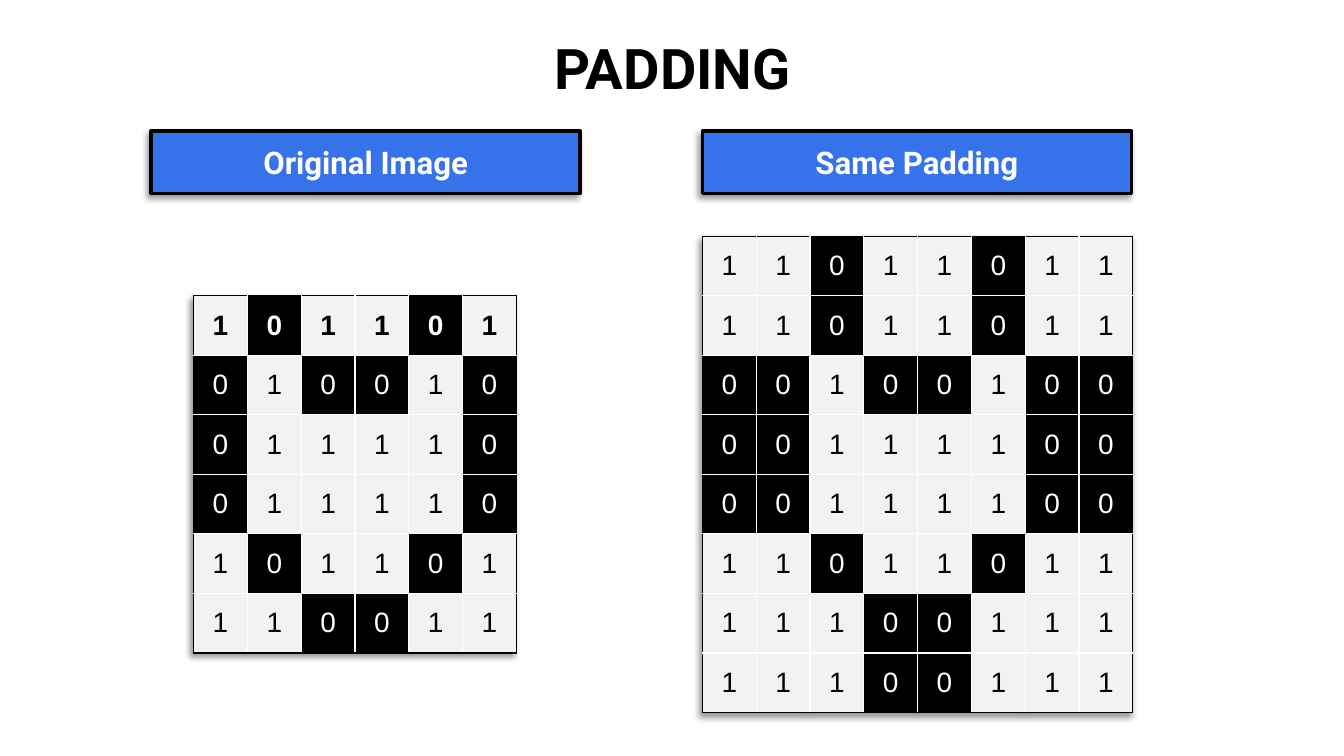
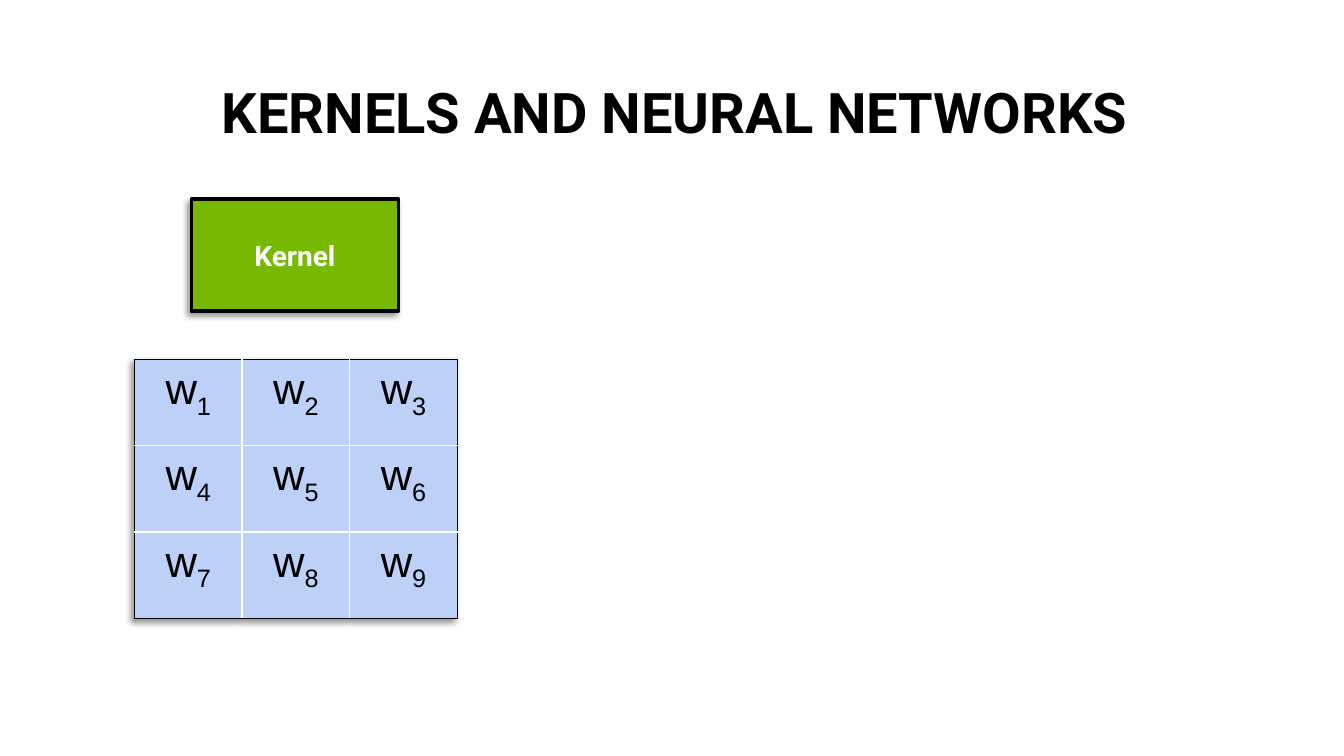
"""Build two slides on image padding and convolution kernels."""
import dataclasses

import lxml.etree
import pptx
import pptx.dml.color
import pptx.enum.shapes
import pptx.enum.text
import pptx.oxml.ns
import pptx.util

Cm = pptx.util.Cm
Pt = pptx.util.Pt
RGB = pptx.dml.color.RGBColor.from_string
qn = pptx.oxml.ns.qn
CENTER = pptx.enum.text.PP_ALIGN.CENTER
MIDDLE = pptx.enum.text.MSO_ANCHOR.MIDDLE


@dataclasses.dataclass(frozen=True)
class Theme:
    """Colours, fonts and type sizes of the deck."""

    black: str = "000000"
    white: str = "FFFFFF"
    blue: str = "3673EB"
    pale_blue: str = "BCD0F8"
    green: str = "76B900"
    light: str = "F2F2F2"
    heading_font: str = "Roboto"
    grid_font: str = "Arial"
    title_size: int = 36
    label_size: int = 20
    kernel_label_size: int = 18
    pixel_size: int = 18
    weight_size: int = 28
    label_line: float = 2.25
    grid_line: float = 1


THEME = Theme()
PIXELS = ["101101", "010010", "011110", "011110", "101101", "110011"]


def pad(rows):
    """Surround a pixel grid with copies of its edge pixels."""
    widened = [row[0] + row + row[-1] for row in rows]
    return [widened[0], *widened, widened[-1]]


def style_paragraph(paragraph, size, color, font, bold=False):
    """Centre a paragraph and set its font."""
    paragraph.alignment = CENTER
    paragraph.font.size = Pt(size)
    paragraph.font.name = font
    paragraph.font.bold = bold
    paragraph.font.color.rgb = RGB(color)


def solid_fill(parent, color):
    """Append a solid fill element and return its colour element."""
    fill = lxml.etree.SubElement(parent, qn("a:solidFill"))
    return lxml.etree.SubElement(fill, qn("a:srgbClr"), val=color)


def shadow_effect():
    """Return an effect list with the soft shadow towards the lower left."""
    effects = pptx.oxml.parse_xml(f"<a:effectLst {pptx.oxml.ns.nsdecls('a')}/>")
    shadow = lxml.etree.SubElement(
        effects, qn("a:outerShdw"), blurRad=str(Pt(4)), dist=str(Pt(3)),
        dir=str(135 * 60000), algn="tr", rotWithShape="0")
    color = lxml.etree.SubElement(shadow, qn("a:srgbClr"), val=THEME.black)
    lxml.etree.SubElement(color, qn("a:alpha"), val="40000")
    return effects


def add_titled_slide(deck, text, left, top):
    """Add a slide with its title placed at the given corner."""
    slide = deck.slides.add_slide(deck.slide_layouts[5])
    title = slide.shapes.title
    title.left, title.top = Cm(left), Cm(top)
    title.width, title.height = Cm(27.71), Cm(1.65)
    frame = title.text_frame
    frame.text = text
    frame.auto_size = pptx.enum.text.MSO_AUTO_SIZE.NONE
    frame.vertical_anchor = pptx.enum.text.MSO_ANCHOR.BOTTOM
    heading = frame.paragraphs[0]
    heading.line_spacing = 0.9
    style_paragraph(heading, THEME.title_size, THEME.black, THEME.heading_font, True)
    return slide


def add_label(slide, text, box, color, size):
    """Add a framed, shadowed label in the given box."""
    label = slide.shapes.add_shape(
        pptx.enum.shapes.MSO_SHAPE.RECTANGLE, *map(Cm, box))
    label.fill.solid()
    label.fill.fore_color.rgb = RGB(color)
    label.line.color.rgb = RGB(THEME.black)
    label.line.width = Pt(THEME.label_line)
    label.shadow.inherit = False
    plain = label._element.spPr.find(qn("a:effectLst"))
    plain.getparent().replace(plain, shadow_effect())
    label.text_frame.text = text
    label.text_frame.vertical_anchor = MIDDLE
    style_paragraph(label.text_frame.paragraphs[0], size, THEME.white,
                    THEME.heading_font, True)


def set_borders(cell, outer_sides):
    """Draw black lines on the outer sides of a cell and white lines elsewhere."""
    properties = cell._tc.get_or_add_tcPr()
    for index, side in enumerate("LRTB"):
        border = lxml.etree.Element(qn(f"a:ln{side}"), w=str(Pt(THEME.grid_line)))
        solid_fill(border, THEME.black if side in outer_sides else THEME.white)
        properties.insert(index, border)


def add_grid(slide, rows, left, top, cell_width, cell_height, fill_cell):
    """Add a shadowed table whose cells are filled by the given function."""
    row_count, column_count = len(rows), len(rows[0])
    grid = slide.shapes.add_table(
        row_count, column_count, Cm(left), Cm(top),
        Cm(cell_width * column_count), Cm(cell_height * row_count)).table
    grid.first_row = grid.horz_banding = False
    grid._tbl.tblPr.insert(0, shadow_effect())
    for column in grid.columns:
        column.width = Cm(cell_width)
    for r, values in enumerate(rows):
        grid.rows[r].height = Cm(cell_height)
        for c, value in enumerate(values):
            cell = grid.cell(r, c)
            fill_cell(cell, value)
            edges = {"L": c == 0, "R": c == column_count - 1,
                     "T": r == 0, "B": r == row_count - 1}
            set_borders(cell, [side for side, outer in edges.items() if outer])
    return grid


def fill_pixel(cell, value):
    """Show a pixel as a light 1 or a black 0."""
    lit = value == "1"
    cell.fill.solid()
    cell.fill.fore_color.rgb = RGB(THEME.light if lit else THEME.black)
    cell.vertical_anchor = MIDDLE
    cell.text = value
    style_paragraph(cell.text_frame.paragraphs[0], THEME.pixel_size,
                    THEME.black if lit else THEME.white, THEME.grid_font)


def fill_weight(cell, index):
    """Show a kernel weight with its subscript index."""
    cell.fill.solid()
    cell.fill.fore_color.rgb = RGB(THEME.pale_blue)
    paragraph = cell.text_frame.paragraphs[0]
    style_paragraph(paragraph, THEME.weight_size, THEME.black, THEME.grid_font)
    paragraph.add_run().text = "w"
    subscript = paragraph.add_run()
    subscript.text = str(index)
    subscript._r.get_or_add_rPr().set("baseline", "-25000")


def build_padding(deck):
    """Compare an image with its padded version."""
    slide = add_titled_slide(deck, "PADDING", 1.4, 0.79)
    for text, left in (("Original Image", 3.43), ("Same Padding", 15.93)):
        add_label(slide, text, (left, 2.97, 9.73, 1.42), THEME.blue, THEME.label_size)
    add_grid(slide, pad(PIXELS), 15.93, 5.36, 1.22, 1.35, fill_pixel)
    image = add_grid(slide, PIXELS, 4.39, 6.71, 1.22, 1.35, fill_pixel)
    for cell in image.rows[0].cells:
        cell.text_frame.paragraphs[0].font.bold = True


def build_kernels(deck):
    """Show the kernel as a grid of weights."""
    slide = add_titled_slide(deck, "KERNELS AND NEURAL NETWORKS", 1.45, 1.78)
    weights = [range(first, first + 3) for first in (1, 4, 7)]
    add_grid(slide, weights, 3.05, 8.15, 2.44, 1.96, fill_weight)
    add_label(slide, "Kernel", (4.34, 4.52, 4.7, 2.54), THEME.green,
              THEME.kernel_label_size)


def main():
    """Build and save the deck."""
    deck = pptx.Presentation()
    deck.slide_width, deck.slide_height = Cm(30.48), Cm(17.15)
    build_padding(deck)
    build_kernels(deck)
    deck.save("out.pptx")


if __name__ == "__main__":
    main()
